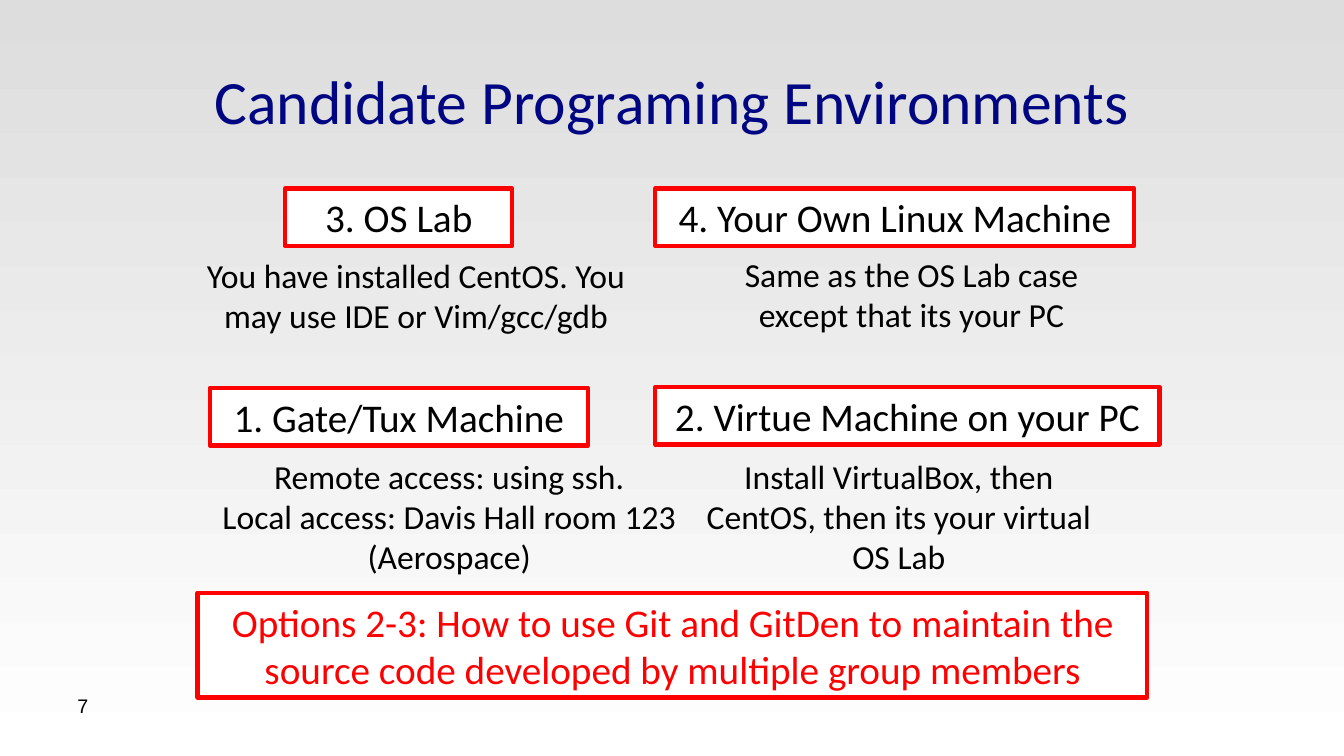
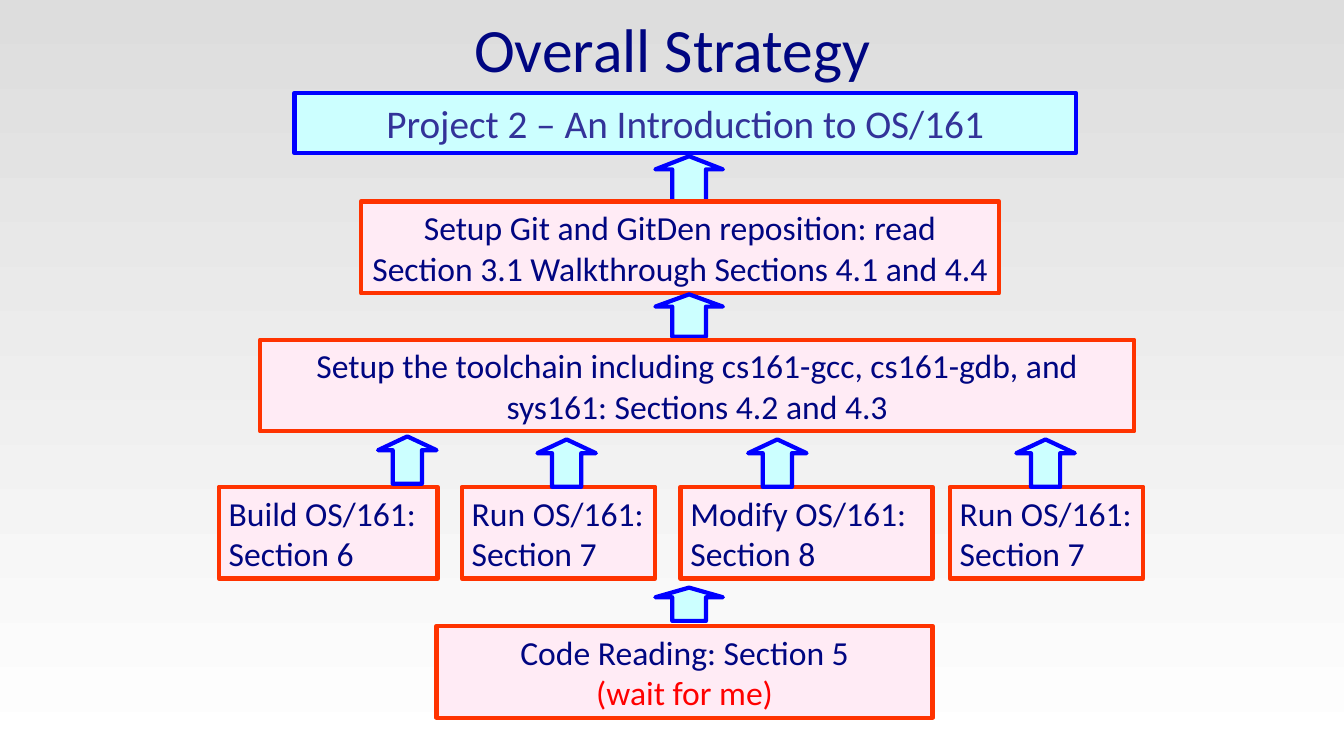
from pptx import Presentation
from pptx.dml.color import RGBColor
from pptx.enum import shapes as sh, text as tx
from pptx.util import Inches, Pt

# Shared look
NAVY, BLACK, WHITE, RED = "000681", "000000", "FFFFFF", "FF0000"
BLUE, CYAN, PINK, FLAME = "0000FF", "CCFFFF", "FFEBF5", "FF3300"
BODY, HEAD = 24, 28
MID, LEFT = tx.PP_ALIGN.CENTER, tx.PP_ALIGN.LEFT
RECT, ARROW = sh.MSO_SHAPE.RECTANGLE, sh.MSO_SHAPE.UP_ARROW

# Slide 1: label, label place, note, note place (left, top, width, height)
ENVS = [
    ("3. OS Lab", (2.83, 1.87, 2.25, 0.57),
     "You have installed CentOS. You may use IDE or Vim/gcc/gdb",
     (1.75, 2.48, 4.75, 0.91)),
    ("4. Your Own Linux Machine", (6.5, 1.87, 4.75, 0.57),
     "Same as the OS Lab case except that its your PC",
     (6.83, 2.47, 4.42, 0.91)),
    ("1. Gate/Tux Machine", (2.08, 3.85, 3.75, 0.57),
     "Remote access: using ssh.\nLocal access: Davis Hall room 123 (Aerospace)",
     (1.75, 4.47, 5.41, 1.31)),
    ("2. Virtue Machine on your PC", (6.5, 3.84, 5, 0.57),
     "Install VirtualBox, then CentOS, then its your virtual OS Lab",
     (6.83, 4.47, 4.17, 1.31)),
]
GIT = ("Options 2-3: How to use Git and GitDen to maintain the "
       "source code developed by multiple group members")

# Slide 2: text, box left, top, width, then arrow top and height
GOAL = "Project 2 – An Introduction to OS/161"
STEPS = [
    ("Setup Git and GitDen reposition: read Section 3.1 "
     "Walkthrough Sections 4.1 and 4.4", 3.58, 2, 6.33, 1.55, 0.45),
    ("Setup the toolchain including cs161-gcc, cs161-gdb, and "
     "sys161: Sections 4.2 and 4.3", 2.58, 3.37, 8.67, 2.92, 0.42),
    ("Code Reading: Section 5\n(wait for me)", 4.33, 6.21, 4.92, 5.83, 0.33),
]
# Text, box left, width, then arrow left and top
TASKS = [
    ("Build OS/161: Section 6", 2.17, 2.17, 3.75, 4.33),
    ("Run OS/161: Section 7", 4.58, 1.92, 5.33, 4.36),
    ("Modify OS/161: Section 8", 6.75, 2.5, 7.42, 4.36),
    ("Run OS/161: Section 7", 9.42, 1.92, 10.08, 4.36),
]
TALL, TASK_TOP = 0.91, 4.83


def rgb(code):
    return RGBColor.from_string(code)


def write(shape, words, size, color, align=MID, face="Calibri"):
    frame = shape.text_frame
    frame.text = words
    frame.word_wrap = True
    frame.auto_size = tx.MSO_AUTO_SIZE.NONE
    for para in frame.paragraphs:
        para.alignment = align
        for run in para.runs:
            run.font.size, run.font.name = Pt(size), face
            run.font.color.rgb = rgb(color)


def place(at):
    return [Inches(v) for v in at]


def label(slide, words, at, size, color, align=MID, face="Calibri"):
    box = slide.shapes.add_textbox(*place(at))
    write(box, words, size, color, align, face)


def block(slide, kind, at, fill, line):
    shape = slide.shapes.add_shape(kind, *place(at))
    shape.shadow.inherit = False
    shape.fill.solid()
    shape.fill.fore_color.rgb = rgb(fill)
    shape.line.color.rgb = rgb(line)
    shape.line.width = Pt(3)
    return shape


def panel(slide, words, at, size, color, fill=WHITE, line=RED, align=MID):
    box = block(slide, RECT, at, fill, line)
    box.text_frame.vertical_anchor = tx.MSO_ANCHOR.MIDDLE
    write(box, words, size, color, align)
    return box


def arrow(slide, at):
    mark = block(slide, ARROW, at, CYAN, BLUE)
    mark.adjustments[1] = 0.29


def add_slide(deck, title, at):
    slide = deck.slides.add_slide(deck.slide_layouts[5])
    head = slide.shapes.title
    head.left, head.top, head.width, head.height = place(at)
    head.text_frame.vertical_anchor = tx.MSO_ANCHOR.MIDDLE
    write(head, title, 44, NAVY)
    return slide


def environments(deck):
    slide = add_slide(deck, "Candidate Programing Environments",
                      (1.83, 0.56, 9.67, 0.86))
    for name, spot, note, below in ENVS:
        panel(slide, name, spot, HEAD, BLACK)
        label(slide, note, below, BODY, BLACK)
    panel(slide, GIT, (1.96, 5.88, 9.42, 1.04), HEAD, RED)
    label(slide, "7", (0.67, 6.83, 3.11, 0.52), 14, BLACK, LEFT, "Arial")


def strategy(deck):
    slide = add_slide(deck, "Overall Strategy", (2.17, 0.08, 9, 0.79))
    panel(slide, GOAL, (2.92, 0.92, 7.75, 0.6), HEAD, "333399", CYAN, BLUE)
    for words, left, top, wide, tip, high in STEPS:
        arrow(slide, (6.5, tip, 0.67, high))
        box = panel(slide, words, (left, top, wide, TALL), BODY, NAVY,
                    PINK, FLAME)
    # The last step ends with a red remark
    box.text_frame.paragraphs[1].runs[0].font.color.rgb = rgb(RED)
    for words, left, wide, tail, tip in TASKS:
        panel(slide, words, (left, TASK_TOP, wide, TALL), BODY, NAVY,
              PINK, FLAME, LEFT)
        arrow(slide, (tail, tip, 0.58, 0.47))


def main():
    deck = Presentation()
    deck.slide_width, deck.slide_height = Inches(13.33), Inches(7.5)
    # Grey to white, top to bottom, on every slide
    back = deck.slide_master.background.fill
    back.gradient()
    back.gradient_angle = 270
    for stop, color in zip(back.gradient_stops, ("DDDDDD", WHITE)):
        stop.color.rgb = rgb(color)
    environments(deck)
    strategy(deck)
    deck.save("out.pptx")


if __name__ == "__main__":
    main()
